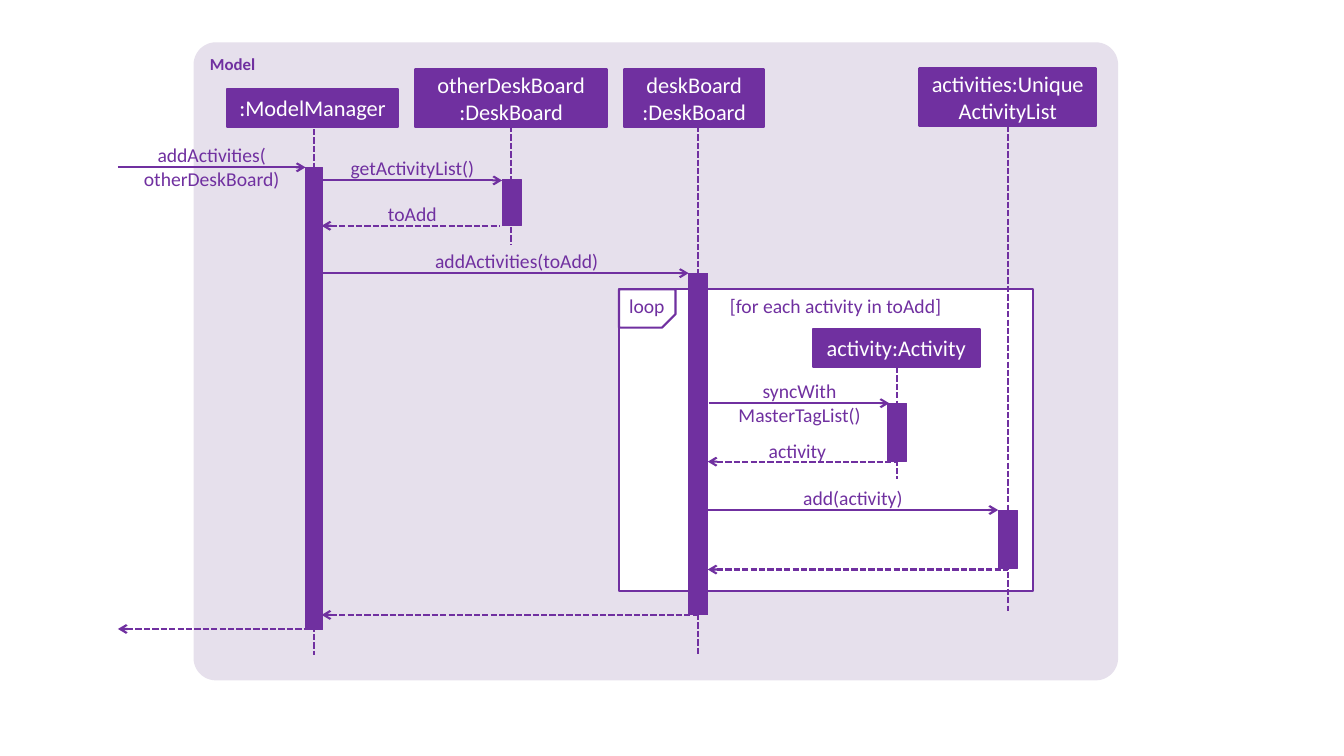
from pptx import Presentation
from pptx.dml.color import RGBColor
from pptx.enum.dml import MSO_LINE
from pptx.enum.shapes import MSO_CONNECTOR, MSO_SHAPE
from pptx.enum.text import MSO_ANCHOR, MSO_AUTO_SIZE, PP_ALIGN
from pptx.oxml.ns import qn
from pptx.util import Pt
from lxml.etree import SubElement

PX = 9144  # EMU: 100 px to the inch
FONT = "Calibri"
COLORS = {"purple": "7030A0", "panel": "E6E0EC", "white": "FFFFFF"}
BAR_W = 19

# text, left, top, width, height
HEADS = [
    (":ModelManager", 225, 88, 170, 38),
    ("otherDeskBoard\n:DeskBoard", 412, 69, 190, 57),
    ("deskBoard\n:DeskBoard", 619, 69, 139, 57),
    ("activities:UniqueActivityList", 912, 68, 175, 57),
    ("activity:Activity", 806, 326, 166, 38),
]
# centre x, top, bottom
LIFELINES = [(311, 128, 650), (507, 125, 242), (692, 125, 650),
             (1000, 125, 606), (890, 364, 475)]
# left, top, width, height
ACTIVATIONS = [(303, 166, 17, 459), (498, 178, BAR_W, 46), (683, 271, BAR_W, 339),
               (880, 400, BAR_W, 58), (990, 506, BAR_W, 58)]
# left, right, y
CALLS = [(117, 303, 166), (319, 498, 179), (319, 683, 271),
         (703, 882, 400), (702, 990, 506)]
REPLIES = [(319, 496, 224), (702, 890, 458), (702, 1000, 565),
           (319, 692, 610), (117, 303, 624)]
# text, left, top, width, height
LABELS = [
    ("addActivities(\votherDeskBoard)", 134, 142, 152, 47),
    ("getActivityList()", 320, 155, 178, 24),
    ("toAdd", 321, 200, 176, 24),
    ("addActivities(toAdd)", 320, 247, 385, 24),
    ("syncWith\vMasterTagList()", 704, 376, 178, 47),
    ("activity", 703, 435, 176, 24),
    ("add(activity)", 703, 482, 286, 24),
]


def rgb(name):
    return RGBColor.from_string(COLORS[name])


def px(*lengths):
    return [n * PX for n in lengths]


def write(s, text, size, color="purple", align=PP_ALIGN.CENTER,
          anchor=MSO_ANCHOR.TOP, bold=None):
    tf = s.text_frame
    tf.text = text
    tf.word_wrap = True
    tf.vertical_anchor = anchor
    for p in tf.paragraphs:
        p.alignment = align
        for r in p.runs:
            r.font.name = FONT
            r.font.size = Pt(size)
            r.font.bold = bold
            r.font.color.rgb = rgb(color)


def add_tab_stop(p, pos):
    tabs = SubElement(p._p.get_or_add_pPr(), qn("a:tabLst"))
    SubElement(tabs, qn("a:tab"), pos=str(pos * PX), algn="l")


def add_box(slide, box, fill=None, line=None, kind=MSO_SHAPE.RECTANGLE, adj=None):
    """Preset shape; line is a width in points, or None for no outline."""
    s = slide.shapes.add_shape(kind, *px(*box))
    s.shadow.inherit = False
    if adj is not None:
        s.adjustments[0] = adj
    if fill:
        s.fill.solid()
        s.fill.fore_color.rgb = rgb(fill)
    else:
        s.fill.background()
    if line:
        s.line.color.rgb = rgb("purple")
        s.line.width = Pt(line)
    else:
        s.line.fill.background()
    return s


def add_line(slide, x1, y1, x2, y2, dashed=False, arrow=None):
    """Straight line; arrow is the end that has a head, headEnd or tailEnd."""
    s = slide.shapes.add_connector(MSO_CONNECTOR.STRAIGHT, *px(x1, y1, x2, y2))
    s.line.color.rgb = rgb("purple")
    s.line.width = Pt(1.5)
    if dashed:
        s.line.dash_style = MSO_LINE.SQUARE_DOT
    if arrow:
        SubElement(s.line._get_or_add_ln(), qn("a:" + arrow), type="arrow")
    SubElement(s._element.spPr, qn("a:effectLst"))


def add_label(slide, text, *box):
    s = slide.shapes.add_textbox(*px(*box))
    tf = s.text_frame
    tf.margin_left = tf.margin_right = tf.margin_top = tf.margin_bottom = 0
    write(s, text, 14)
    tf.auto_size = MSO_AUTO_SIZE.SHAPE_TO_FIT_TEXT


def add_loop_frame(slide):
    left, top = 614, 287
    frame = add_box(slide, (left, top, 411, 299), "white", 1.5)
    write(frame, "loop\t[for each activity in toAdd]", 14, align=PP_ALIGN.LEFT)
    add_tab_stop(frame.text_frame.paragraphs[0], 100)
    tag = add_box(slide, (left, top, 56, 38), line=1.5,
                  kind=MSO_SHAPE.SNIP_1_RECTANGLE, adj=0.35)
    tag._element.spPr.xfrm.set("flipV", "1")


def main():
    prs = Presentation()
    prs.slide_width, prs.slide_height = px(1333, 750)
    slide = prs.slides.add_slide(prs.slide_layouts[6])

    panel = add_box(slide, (192, 42, 917, 633), "panel",
                    kind=MSO_SHAPE.ROUNDED_RECTANGLE, adj=0.035)
    write(panel, "Model", 12, align=PP_ALIGN.LEFT, bold=True)
    add_loop_frame(slide)

    for x, top, bottom in LIFELINES:
        add_line(slide, x, top, x, bottom, dashed=True)
    for text, *box in HEADS:
        head = add_box(slide, box, "purple", 1.5)
        write(head, text, 16, "white", anchor=MSO_ANCHOR.MIDDLE)
    for box in ACTIVATIONS:
        add_box(slide, box, "purple", 0.75)
    for left, right, y in CALLS:
        add_line(slide, left, y, right, y, arrow="tailEnd")
    for left, right, y in REPLIES:
        add_line(slide, left, y, right, y, dashed=True, arrow="headEnd")
    for label in LABELS:
        add_label(slide, *label)

    prs.save("out.pptx")


if __name__ == "__main__":
    main()
